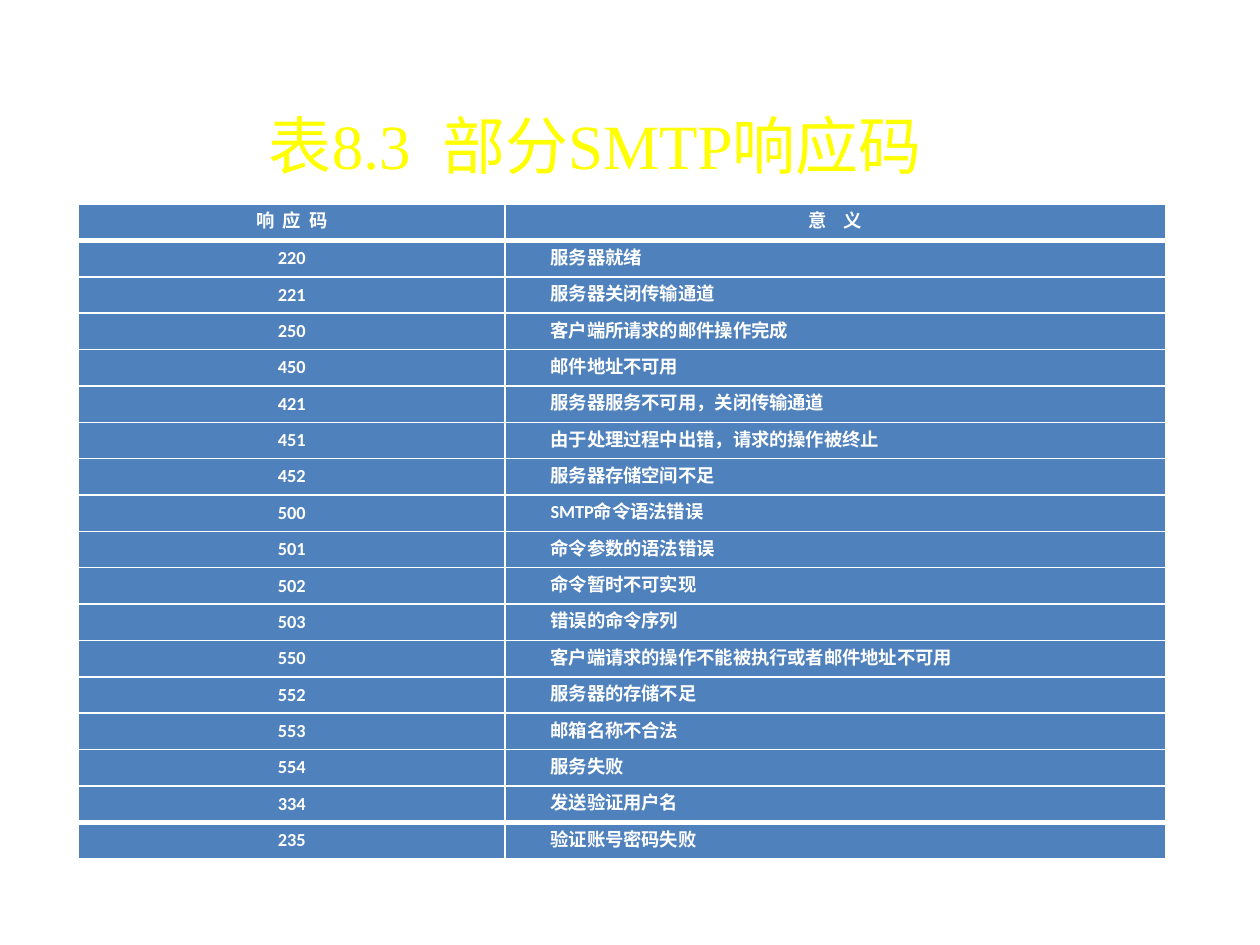
from lxml import etree
from pptx import Presentation, util as u
from pptx.dml.color import RGBColor
from pptx.enum import text as t
from pptx.oxml import ns

WHITE = RGBColor(0xFF, 0xFF, 0xFF)
BLUE = RGBColor(0x4F, 0x81, 0xBD)
YELLOW = RGBColor(0xFF, 0xFF, 0x00)

CODES = [
    ("响  应  码", "意    义"),
    ("220", "服务器就绪"),
    ("221", "服务器关闭传输通道"),
    ("250", "客户端所请求的邮件操作完成"),
    ("450", "邮件地址不可用"),
    ("421", "服务器服务不可用，关闭传输通道"),
    ("451", "由于处理过程中出错，请求的操作被终止"),
    ("452", "服务器存储空间不足"),
    ("500", "SMTP命令语法错误"),
    ("501", "命令参数的语法错误"),
    ("502", "命令暂时不可实现"),
    ("503", "错误的命令序列"),
    ("550", "客户端请求的操作不能被执行或者邮件地址不可用"),
    ("552", "服务器的存储不足"),
    ("553", "邮箱名称不合法"),
    ("554", "服务失败"),
    ("334", "发送验证用户名"),
    ("235", "验证账号密码失败"),
]
WIDTHS = [u.Inches(3.39), u.Inches(5.24)]
HEIGHT = u.Inches(5.2)


def edge(cell, side, width):
    """Draw one white border; call in the order L, R, T, B, before the fill."""
    line = etree.SubElement(cell._tc.get_or_add_tcPr(), ns.qn("a:ln" + side),
                            w=str(u.Pt(width)))
    fill = etree.SubElement(line, ns.qn("a:solidFill"))
    etree.SubElement(fill, ns.qn("a:srgbClr"), val=str(WHITE))


deck = Presentation()
deck.slide_width, deck.slide_height = u.Inches(10), u.Inches(7.5)
slide = deck.slides.add_slide(deck.slide_layouts[5])

title = slide.shapes.title
title.left, title.top = u.Inches(1.38), u.Inches(0.52)
title.width, title.height = u.Inches(6.69), u.Inches(1.25)
frame = title.text_frame
frame.text = "表8.3  部分SMTP响应码"
frame.vertical_anchor = t.MSO_ANCHOR.MIDDLE
para = frame.paragraphs[0]
para.alignment = t.PP_ALIGN.CENTER
font = para.runs[0].font
font.name, font.size = "Times New Roman", u.Pt(36)
font.color.rgb = YELLOW

table = slide.shapes.add_table(len(CODES), 2, u.Inches(0.62), u.Inches(1.62),
                               sum(WIDTHS), HEIGHT).table
table.horz_banding = False
for col, width in zip(table.columns, WIDTHS):
    col.width = width

last = len(CODES) - 1
for r, words in enumerate(CODES):
    table.rows[r].height = HEIGHT // len(CODES)
    for c, word in enumerate(words):
        cell = table.cell(r, c)
        cell.margin_left = cell.margin_right = u.Inches(0.07)
        cell.margin_top = cell.margin_bottom = 0
        cell.vertical_anchor = t.MSO_ANCHOR.MIDDLE
        edge(cell, "L", 1)
        edge(cell, "R", 1)
        edge(cell, "T", 3 if r in (1, last) else 1)
        edge(cell, "B", 3 if r in (0, last - 1) else 1)
        cell.fill.solid()
        cell.fill.fore_color.rgb = BLUE

        para = cell.text_frame.paragraphs[0]
        para.text = word
        para.line_spacing, para.space_after = u.Pt(12.5), u.Pt(1)
        para.alignment = t.PP_ALIGN.CENTER
        if r and c:
            para.alignment = t.PP_ALIGN.JUSTIFY
            props = para._p.get_or_add_pPr()
            props.set("marL", "0")
            props.set("indent", str(u.Inches(0.29)))
        font = para.runs[0].font
        font.name, font.size, font.bold = "Calibri", u.Pt(10.5), True
        font.color.rgb = WHITE

deck.save("out.pptx")
